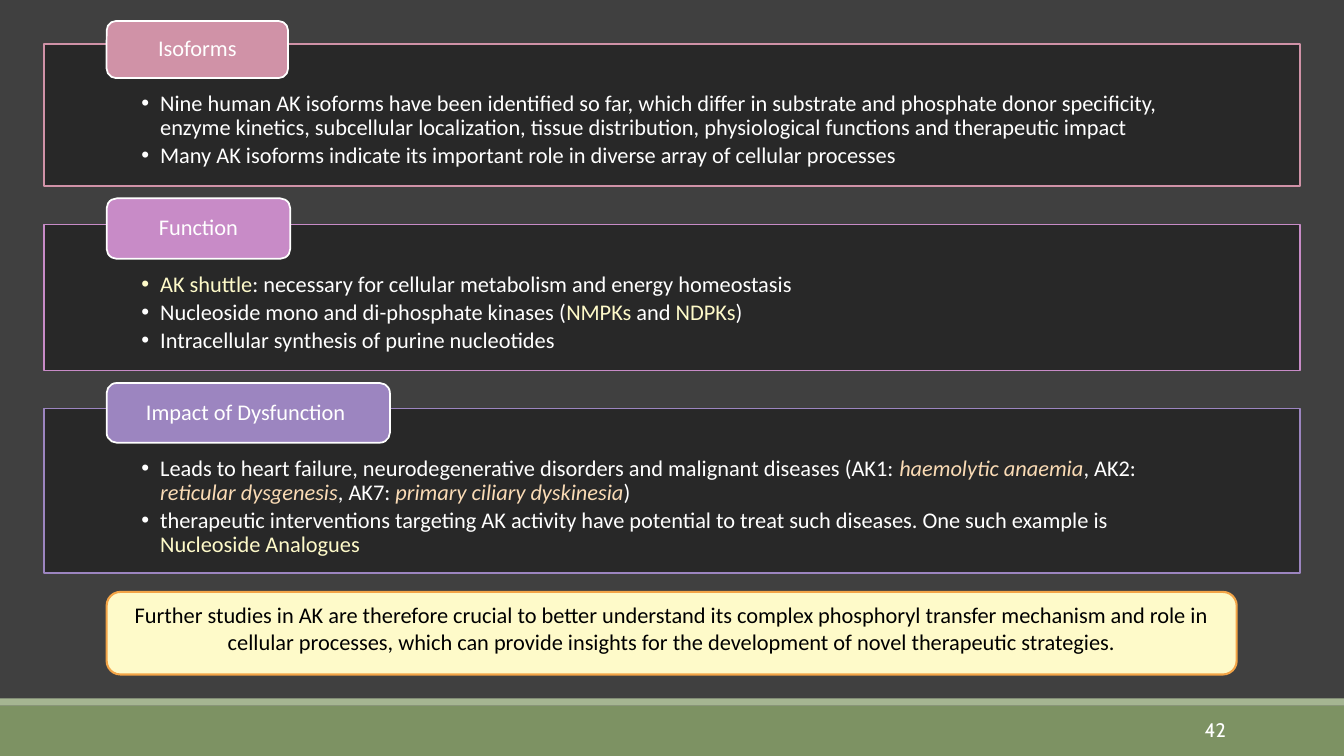
from lxml import etree
from pptx import Presentation
from pptx.dml.color import RGBColor
from pptx.enum import shapes, text
from pptx.oxml import ns
from pptx.util import Pt

BACKGROUND = RGBColor(0x40, 0x40, 0x40)
PANEL = RGBColor(0x26, 0x26, 0x26)
GREEN = RGBColor(0x7D, 0x92, 0x63)
LIGHT_GREEN = RGBColor(0xA5, 0xB5, 0x92)
ROSE = RGBColor(0xD0, 0x92, 0xA7)
ORCHID = RGBColor(0xC8, 0x8B, 0xC7)
VIOLET = RGBColor(0x9C, 0x85, 0xC0)
CREAM = RGBColor(0xFE, 0xFA, 0xC9)
PEACH = RGBColor(0xFA, 0xDB, 0xB5)
ORANGE = RGBColor(0xF3, 0xA4, 0x47)
WHITE = RGBColor(0xFF, 0xFF, 0xFF)
BLACK = RGBColor(0x00, 0x00, 0x00)

LEFT, CENTER, RIGHT = text.PP_ALIGN.LEFT, text.PP_ALIGN.CENTER, text.PP_ALIGN.RIGHT
RECTANGLE = shapes.MSO_SHAPE.RECTANGLE
ROUNDED = shapes.MSO_SHAPE.ROUNDED_RECTANGLE
SLIDE_WIDTH, SLIDE_HEIGHT = 960, 540
PANEL_LEFT, PANEL_WIDTH, TAB_LEFT = 31.2, 897.6, 76.2

# Each section: colour, panel (top, height), tab (top, width, height, alignment),
# heading, and bullets made of plain strings or (string, colour) pairs.
SECTIONS = [
    (ROSE, (31.2, 101.6), (15, 129.6, 40.8, CENTER), "Isoforms", [
        ["Nine human AK isoforms have been identified so far, which differ in substrate "
         "and phosphate donor specificity, enzyme kinetics, subcellular localization, "
         "tissue distribution, physiological functions and therapeutic impact"],
        ["Many AK isoforms indicate its important role in diverse array of cellular processes"],
    ]),
    (ORCHID, (160.4, 104.3), (141.7, 131.2, 43.2, CENTER), "Function", [
        [("AK shuttle", CREAM), ": necessary for cellular metabolism and energy homeostasis"],
        ["Nucleoside mono and di-phosphate kinases (", ("NMPKs", CREAM), " and ",
         ("NDPKs", CREAM), ")"],
        ["Intracellular synthesis of purine nucleotides"],
    ]),
    (VIOLET, (291.7, 117.4), (273.6, 202.3, 42.6, LEFT), "Impact of Dysfunction", [
        ["Leads to heart failure, neurodegenerative disorders and malignant diseases (AK1: ",
         ("haemolytic anaemia", PEACH), ", AK2: ", ("reticular dysgenesis", PEACH),
         ", AK7: ", ("primary ciliary dyskinesia", PEACH), ")"],
        ["therapeutic interventions targeting AK activity have potential to treat such "
         "diseases. One such example is ", ("Nucleoside Analogues", CREAM)],
    ]),
]
CONCLUSION = ("Further studies in AK are therefore crucial to better understand its complex "
              "phosphoryl transfer mechanism and role in cellular processes, which can provide "
              "insights for the development of novel therapeutic strategies.")


class SlideBuilder:
    font_name = "Calibri"
    font_size = 16

    def __init__(self, slide):
        self.slide = slide
        slide.background.fill.solid()
        slide.background.fill.fore_color.rgb = BACKGROUND

    def style_run(self, run, color, size=None, name=None):
        run.font.name = name or self.font_name
        run.font.size = Pt(size or self.font_size)
        run.font.color.rgb = color
        run.font.bold = False
        run.font.italic = color == PEACH

    def paint(self, shape, fill, line=None, width=1.25):
        shape.fill.solid()
        shape.fill.fore_color.rgb = fill
        if line is None:
            shape.line.fill.background()
        else:
            shape.line.color.rgb = line
            shape.line.width = Pt(width)

    def set_frame(self, frame, anchor, margins):
        """Set wrapping, anchor and the left, top, right and bottom margins."""
        frame.word_wrap = True
        frame.auto_size = text.MSO_AUTO_SIZE.NONE
        frame.vertical_anchor = anchor
        (frame.margin_left, frame.margin_top,
         frame.margin_right, frame.margin_bottom) = map(Pt, margins)

    def box(self, kind, bounds, fill, line=None, width=1.25):
        shape = self.slide.shapes.add_shape(kind, *map(Pt, bounds))
        shape.shadow.inherit = False
        self.paint(shape, fill, line, width)
        return shape

    def label(self, shape, wording, color, alignment, margins, spacing=1.0,
              size=None, name=None):
        """Write one vertically centred paragraph into a shape."""
        frame = shape.text_frame
        self.set_frame(frame, text.MSO_ANCHOR.MIDDLE, margins)
        frame.text = wording
        paragraph = frame.paragraphs[0]
        paragraph.alignment = alignment
        paragraph.line_spacing = spacing
        self.style_run(paragraph.runs[0], color, size, name)

    def bullet(self, paragraph, parts):
        properties = paragraph._p.get_or_add_pPr()
        properties.set("marL", str(Pt(13.5)))
        properties.set("indent", str(-Pt(13.5)))
        etree.SubElement(properties, ns.qn("a:buFont"), typeface="Arial")
        etree.SubElement(properties, ns.qn("a:buChar"), char="•")
        paragraph.alignment = LEFT
        paragraph.line_spacing = 0.9
        paragraph.space_before = Pt(0)
        paragraph.space_after = Pt(2.9)
        for part in parts:
            wording, color = (part, WHITE) if isinstance(part, str) else part
            run = paragraph.add_run()
            run.text = wording
            self.style_run(run, color)

    def panel(self, index, top, height, line, bullets):
        """Turn a body placeholder into a framed, slightly transparent list."""
        body = self.slide.placeholders[index]
        body.left, body.top = Pt(PANEL_LEFT), Pt(top)
        body.width, body.height = Pt(PANEL_WIDTH), Pt(height)
        self.paint(body, PANEL, line)
        fill_color = body.element.spPr.find(ns.qn("a:solidFill"))[0]
        etree.SubElement(fill_color, ns.qn("a:alpha"), val="90000")
        frame = body.text_frame
        self.set_frame(frame, text.MSO_ANCHOR.TOP, (69.7, 34.6, 69.7, 8.6))
        for number, parts in enumerate(bullets):
            paragraph = frame.add_paragraph() if number else frame.paragraphs[0]
            self.bullet(paragraph, parts)

    def tab(self, top, width, height, alignment, fill, heading):
        shape = self.box(ROUNDED, (TAB_LEFT, top, width, height), fill, WHITE)
        self.label(shape, heading, WHITE, alignment, (26, 0, 26, 0), 0.9)

    def remove_empty_placeholders(self):
        for placeholder in list(self.slide.placeholders):
            if not placeholder.text_frame.text:
                placeholder.element.getparent().remove(placeholder.element)


def main():
    presentation = Presentation()
    presentation.slide_width = Pt(SLIDE_WIDTH)
    presentation.slide_height = Pt(SLIDE_HEIGHT)
    comparison_layout = presentation.slide_layouts[4]
    builder = SlideBuilder(presentation.slides.add_slide(comparison_layout))

    builder.box(RECTANGLE, (0, 504, SLIDE_WIDTH, 36), GREEN)
    builder.box(RECTANGLE, (0, 498.8, SLIDE_WIDTH, 5.2), LIGHT_GREEN)
    number = builder.slide.shapes.add_textbox(Pt(780), Pt(507), Pt(102.8), Pt(28.8))
    builder.label(number, "42", WHITE, RIGHT, (7.2, 3.6, 7.2, 3.6), size=14, name="Cabin")

    for index, (color, (top, height), tab, heading, bullets) in enumerate(SECTIONS, 1):
        builder.panel(index, top, height, color, bullets)
        builder.tab(*tab, color, heading)

    conclusion = builder.box(ROUNDED, (TAB_LEFT, 422.8, 807.2, 59), CREAM, ORANGE, 1.5)
    builder.label(conclusion, CONCLUSION, BLACK, CENTER, (10, 3.6, 10, 10.8))
    builder.remove_empty_placeholders()
    presentation.save("out.pptx")


if __name__ == "__main__":
    main()
